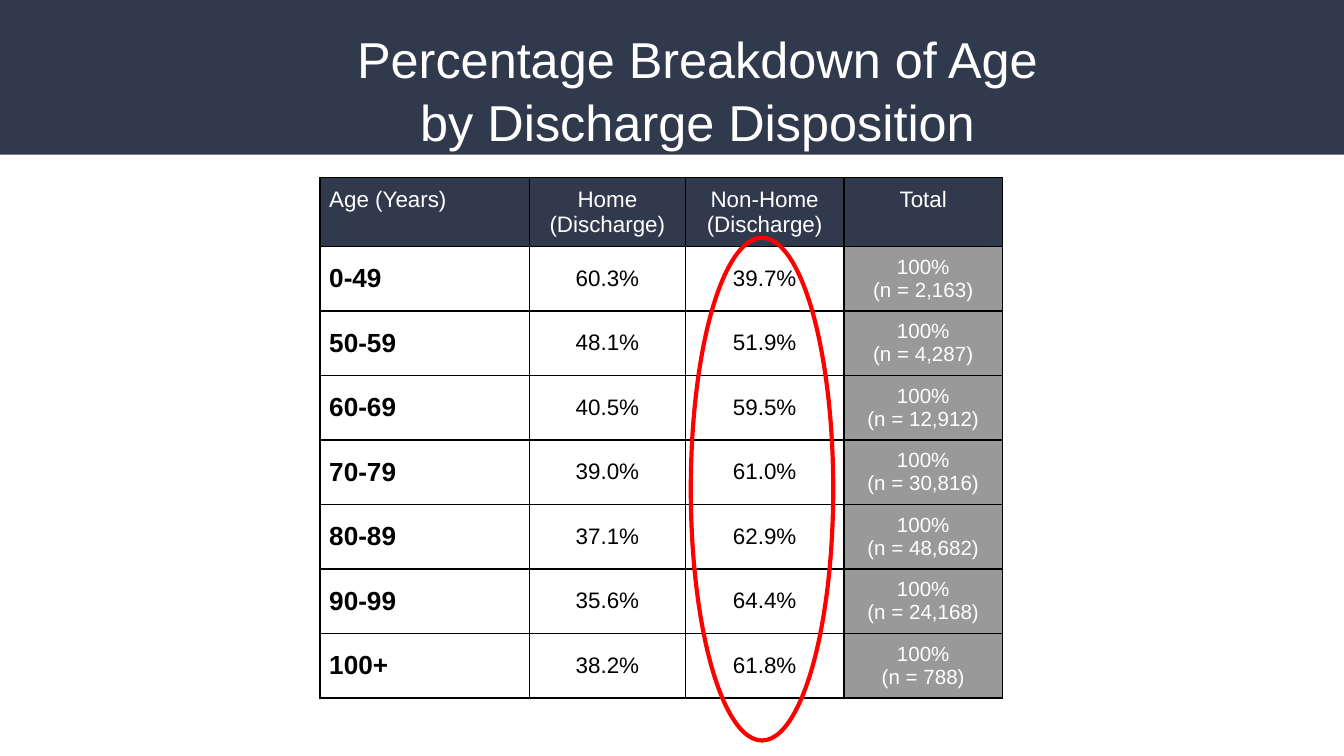
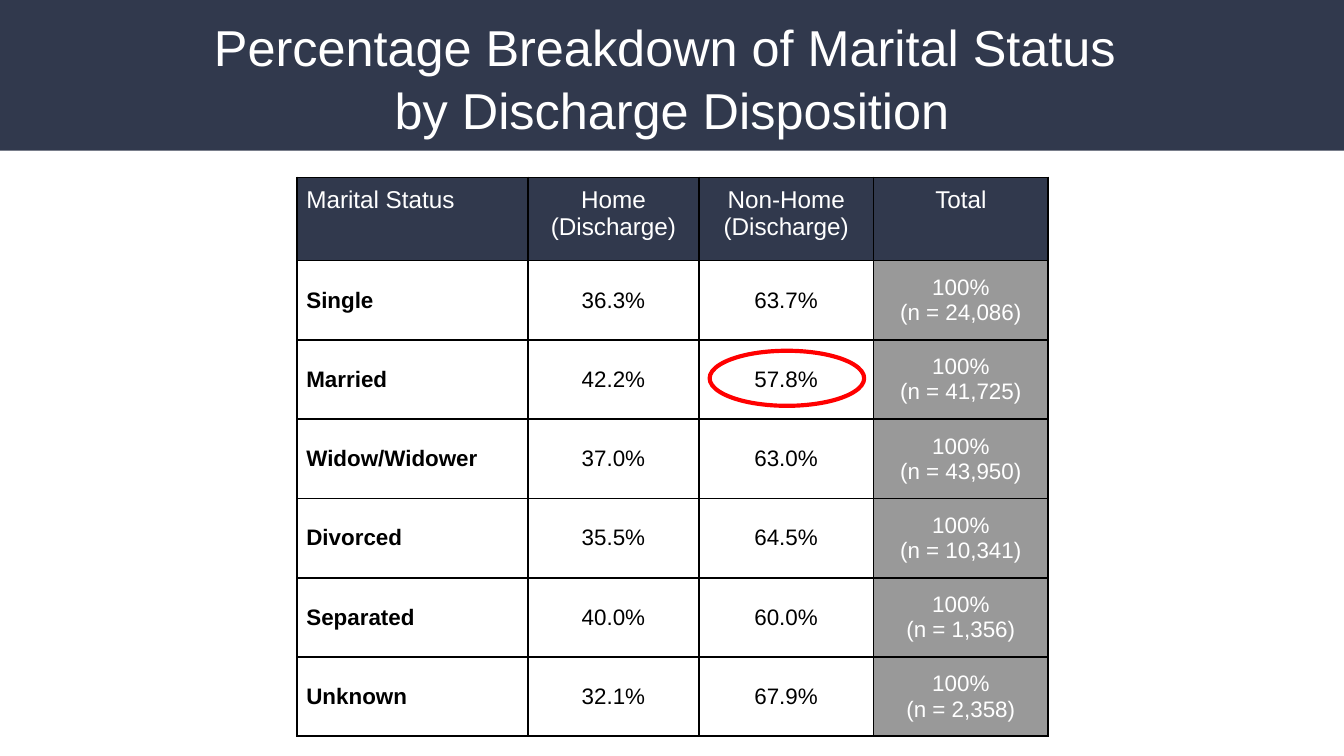
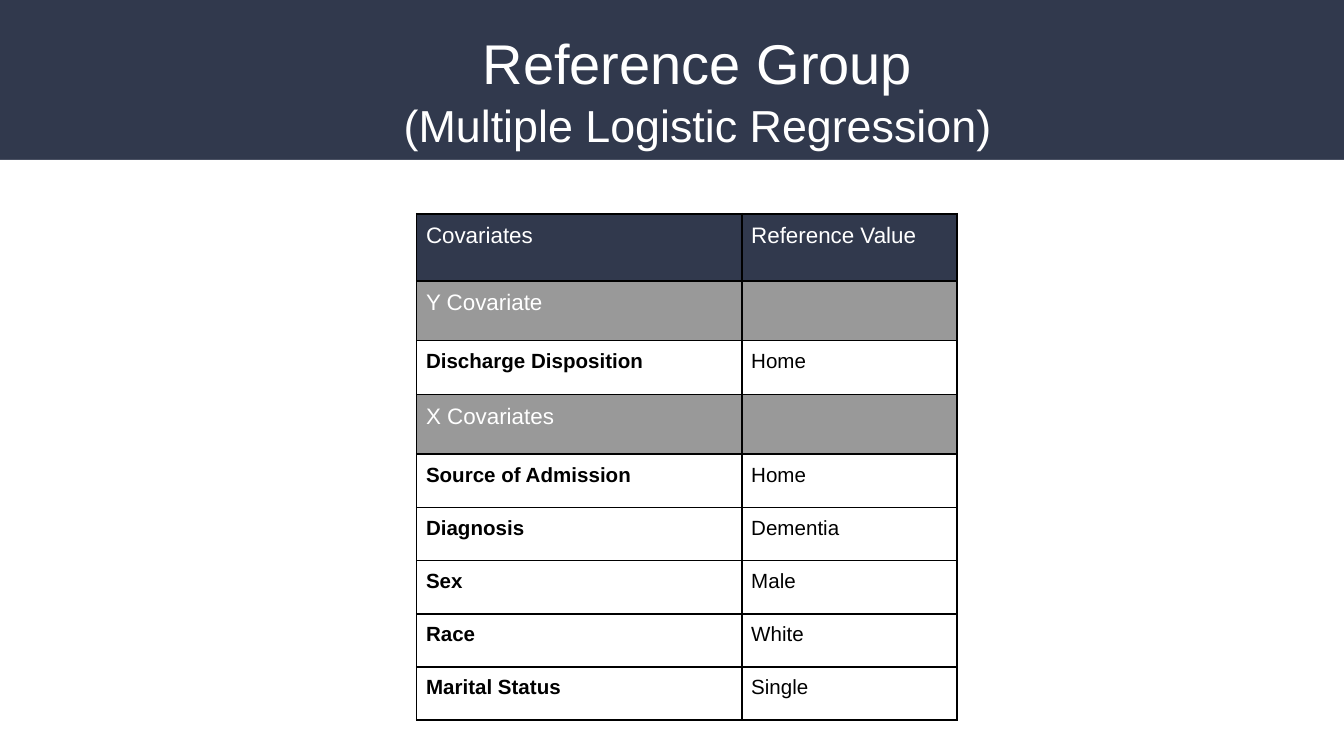
from dataclasses import dataclass

from lxml.etree import SubElement
from pptx import Presentation
from pptx.dml.color import RGBColor
from pptx.enum.shapes import MSO_SHAPE
from pptx.enum.text import MSO_ANCHOR, MSO_AUTO_SIZE, PP_ALIGN
from pptx.oxml.ns import qn
from pptx.util import Emu, Inches, Pt

SLIDE_WIDTH, SLIDE_HEIGHT = Inches(10), Inches(5.625)
COLUMNS, ROWS = 100, 56.25
TITLE_ONLY = 5


@dataclass(frozen=True)
class Theme:
    """Colours, font and sizes that the slides share."""

    navy: str = "31394D"
    gray: str = "999999"
    white: str = "FFFFFF"
    black: str = "000000"
    red: str = "FF0000"
    font: str = "Arial"
    title: float = 27
    title_large: float = 30
    subtitle: float = 24
    label_large: float = 14
    header_large: float = 13
    body: float = 12
    small: float = 11
    border: float = 1
    ring: float = 2.25
    title_spacing: float = 1.04
    title_inset: float = 1
    cell_inset: float = 0.7


THEME = Theme()


@dataclass(frozen=True)
class Box:
    """A rectangle in grid columns and rows."""

    left: float
    top: float
    width: float
    height: float

    def inside(self, part):
        """Place a part that is given relative to this box."""
        return Box(self.left + part.left, self.top + part.top, part.width, part.height)

    def lengths(self):
        """Return left, top, width and height as slide lengths."""
        return across(self.left), down(self.top), across(self.width), down(self.height)


@dataclass(frozen=True)
class CellStyle:
    """Look of the text and background of a table cell."""

    size: float
    color: str = THEME.white
    fill: str = ""
    bold: bool = False
    align: PP_ALIGN = PP_ALIGN.CENTER
    anchor: MSO_ANCHOR = MSO_ANCHOR.MIDDLE


def across(columns):
    """Convert grid columns to a length."""
    return Emu(round(SLIDE_WIDTH * columns / COLUMNS))


def down(rows):
    """Convert grid rows to a length."""
    return Emu(round(SLIDE_HEIGHT * rows / ROWS))


def add_text(paragraph, text, size, color, bold=False):
    """Add runs to a paragraph, with a line break between lines."""
    for index, line in enumerate(text.split("\n")):
        if index:
            paragraph.add_line_break()
        run = paragraph.add_run()
        run.text = line
        run.font.name = THEME.font
        run.font.size = Pt(size)
        run.font.bold = bold
        run.font.color.rgb = RGBColor.from_string(color)


def set_insets(target, inset):
    """Give a text frame or a cell equal margins."""
    target.margin_left = target.margin_right = across(inset)
    target.margin_top = target.margin_bottom = down(inset)


def add_panel(slide, box, color, shapes):
    """Add a plain rectangle at the back of a shape collection."""
    panel = slide.shapes.add_shape(MSO_SHAPE.RECTANGLE, *box.lengths())
    panel.shadow.inherit = False
    panel.fill.solid()
    panel.fill.fore_color.rgb = RGBColor.from_string(color)
    panel.line.fill.background()
    shapes.element.insert(2, panel.element)


def add_title(slide, box, paragraphs):
    """Place and fill the title with pairs of text and size."""
    title = slide.shapes.title
    title.left, title.top, title.width, title.height = box.lengths()
    frame = title.text_frame
    frame.word_wrap = True
    frame.auto_size = MSO_AUTO_SIZE.NONE
    frame.vertical_anchor = MSO_ANCHOR.TOP
    set_insets(frame, THEME.title_inset)
    for index, (text, size) in enumerate(paragraphs):
        paragraph = frame.add_paragraph() if index else frame.paragraphs[0]
        paragraph.alignment = PP_ALIGN.CENTER
        paragraph.line_spacing = THEME.title_spacing
        paragraph.space_before = Pt(0)
        add_text(paragraph, text, size, THEME.white)


def add_slide(presentation, panel_top, title_box, paragraphs):
    """Add a slide with its white panel and title."""
    slide = presentation.slides.add_slide(presentation.slide_layouts[TITLE_ONLY])
    panel = Box(0, panel_top, COLUMNS, ROWS - panel_top)
    add_panel(slide, panel, THEME.white, slide.shapes)
    add_title(slide, title_box, paragraphs)
    return slide


def add_borders(cell):
    """Draw a thin line on each side of a cell."""
    properties = cell._tc.get_or_add_tcPr()
    for index, side in enumerate(("a:lnL", "a:lnR", "a:lnT", "a:lnB")):
        line = SubElement(properties, qn(side), w=str(Pt(THEME.border)))
        fill = SubElement(line, qn("a:solidFill"))
        SubElement(fill, qn("a:srgbClr"), val=THEME.black)
        properties.insert(index, line)


def fill_cell(cell, text, style):
    """Format a cell and write its text."""
    set_insets(cell, THEME.cell_inset)
    cell.vertical_anchor = style.anchor
    if style.fill:
        cell.fill.solid()
        cell.fill.fore_color.rgb = RGBColor.from_string(style.fill)
    else:
        cell.fill.background()
    add_borders(cell)
    paragraph = cell.text_frame.paragraphs[0]
    paragraph.alignment = style.align
    if text:
        add_text(paragraph, text, style.size, style.color, style.bold)


def add_grid(slide, box, widths, heights, rows):
    """Add a table from rows of text and style pairs."""
    frame = slide.shapes.add_table(len(rows), len(widths), *box.lengths())
    table = frame.table
    table.first_row = table.horz_banding = False
    for column, width in zip(table.columns, widths):
        column.width = across(width)
    for table_row, height, cells in zip(table.rows, heights, rows):
        table_row.height = down(height)
        for cell, (text, style) in zip(table_row.cells, cells):
            fill_cell(cell, text, style)


def add_ring(slide, box):
    """Circle values with a red outline."""
    ring = slide.shapes.add_shape(MSO_SHAPE.OVAL, *box.lengths())
    ring.shadow.inherit = False
    ring.fill.background()
    ring.line.color.rgb = RGBColor.from_string(THEME.red)
    ring.line.width = Pt(THEME.ring)


def add_breakdown(slide, box, widths, header_height, ring, heading, groups, sizes):
    """Add the discharge table and the ring placed relative to it."""
    header_size, label_size, total_size = sizes
    header = CellStyle(header_size, fill=THEME.navy, anchor=MSO_ANCHOR.TOP)
    header_left = CellStyle(
        header_size, fill=THEME.navy, align=PP_ALIGN.LEFT, anchor=MSO_ANCHOR.TOP
    )
    label = CellStyle(label_size, THEME.black, bold=True, align=PP_ALIGN.LEFT)
    value = CellStyle(THEME.body, THEME.black)
    total = CellStyle(total_size, fill=THEME.gray)
    rows = [
        [
            (heading, header_left),
            ("Home (Discharge)", header),
            ("Non-Home (Discharge)", header),
            ("Total", header),
        ]
    ]
    for name, home, count in groups:
        rows.append(
            [
                (name, label),
                (f"{home:.1f}%", value),
                (f"{100 - home:.1f}%", value),
                (f"100%\n(n = {count:,})", total),
            ]
        )
    row_height = (box.height - header_height) / len(groups)
    heights = [header_height] + [row_height] * len(groups)
    add_grid(slide, box, widths, heights, rows)
    add_ring(slide, box.inside(ring))


def add_reference(slide, box, widths, heights, sections):
    """Add the covariate table with a gray row above each section."""
    left_top = {"align": PP_ALIGN.LEFT, "anchor": MSO_ANCHOR.TOP}
    header = CellStyle(THEME.body, fill=THEME.navy, **left_top)
    section = CellStyle(THEME.body, fill=THEME.gray, **left_top)
    label = CellStyle(THEME.small, THEME.black, bold=True, **left_top)
    value = CellStyle(THEME.small, THEME.black, **left_top)
    rows = [[("Covariates", header), ("Reference Value", header)]]
    for name, covariates in sections:
        rows.append([(name, section), ("", section)])
        rows += [[(text, label), (base, value)] for text, base in covariates]
    add_grid(slide, box, widths, heights, rows)


def build_age(presentation):
    """Build the slide on age."""
    title = "Percentage Breakdown of Age by Discharge Disposition"
    slide = add_slide(
        presentation, 11.5, Box(24.2, 0.9, 55.4, 5.5), [(title, THEME.title)]
    )
    groups = [
        ("0-49", 60.3, 2163),
        ("50-59", 48.1, 4287),
        ("60-69", 40.5, 12912),
        ("70-79", 39.0, 30816),
        ("80-89", 37.1, 48682),
        ("90-99", 35.6, 24168),
        ("100+", 38.2, 788),
    ]
    add_breakdown(
        slide,
        Box(23.8, 13.2, 50.8, 38.65),
        (15.6, 11.6, 11.8, 11.8),
        5.1,
        Box(27.6, 4.5, 10.6, 37.4),
        "Age (Years)",
        groups,
        (THEME.body, THEME.label_large, THEME.small),
    )
    return slide


def build_marital(presentation):
    """Build the slide on marital status."""
    title = "Percentage Breakdown of Marital Status \nby Discharge Disposition"
    slide = add_slide(
        presentation, 11.2, Box(0, 0, COLUMNS, 9.3), [(title, THEME.title)]
    )
    groups = [
        ("Single", 36.3, 24086),
        ("Married", 42.2, 41725),
        ("Widow/Widower", 37.0, 43950),
        ("Divorced", 35.5, 10341),
        ("Separated", 40.0, 1356),
        ("Unknown", 32.1, 2358),
    ]
    add_breakdown(
        slide,
        Box(22.1, 13.2, 55.9, 41.6),
        (17.2, 12.7, 13, 13),
        6.2,
        Box(30.7, 12.9, 11.5, 4.1),
        "Marital Status",
        groups,
        (THEME.header_large, THEME.body, THEME.body),
    )


def build_reference(presentation):
    """Build the slide on the reference group."""
    slide = add_slide(
        presentation,
        11.9,
        Box(24.2, 0.9, 55.4, 5.5),
        [
            ("Reference Group", THEME.title_large),
            ("(Multiple Logistic Regression)", THEME.subtitle),
        ],
    )
    sections = [
        ("Y Covariate", [("Discharge Disposition", "Home")]),
        (
            "X Covariates",
            [
                ("Source of Admission", "Home"),
                ("Diagnosis", "Dementia"),
                ("Sex", "Male"),
                ("Race", "White"),
                ("Marital Status", "Single"),
            ],
        ),
    ]
    heights = [5, 4.1, 4, 4.3] + [3.96] * 5
    add_reference(slide, Box(31, 15.9, 40.2, sum(heights)), (24.2, 16), heights, sections)


def main():
    """Build and save the presentation."""
    presentation = Presentation()
    presentation.slide_width, presentation.slide_height = SLIDE_WIDTH, SLIDE_HEIGHT
    first_slide = build_age(presentation)
    band = Box(0, 0, COLUMNS, 14)
    add_panel(first_slide, band, THEME.navy, presentation.slide_master.shapes)
    build_marital(presentation)
    build_reference(presentation)
    presentation.save("out.pptx")


if __name__ == "__main__":
    main()
